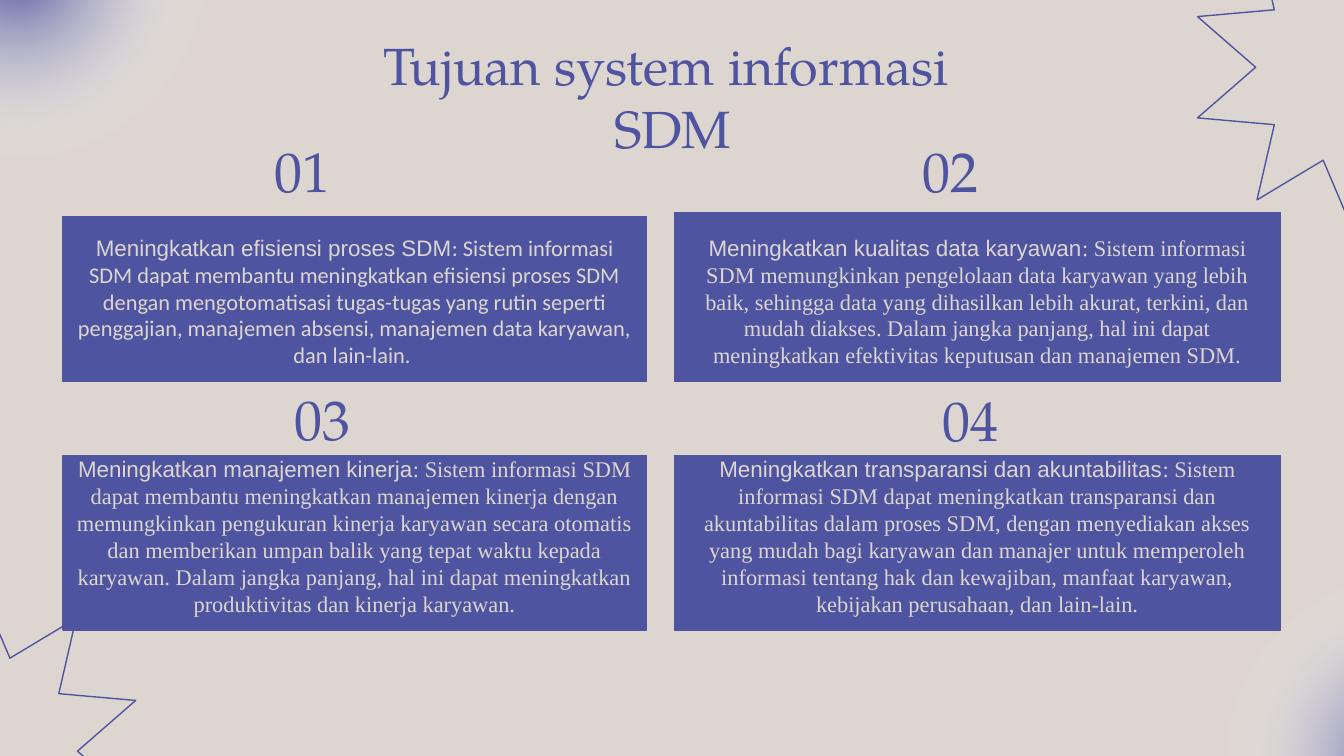
from lxml import etree
from pptx import Presentation
from pptx.dml.color import RGBColor
from pptx.enum.shapes import MSO_SHAPE as Shape
from pptx.enum.text import MSO_ANCHOR as Anchor, PP_ALIGN as Align
from pptx.oxml import parse_xml
from pptx.util import Pt

INDIGO = RGBColor(0x4E, 0x54, 0x9F)
SAND = RGBColor(0xDD, 0xD6, 0xD0)
SERIF = "TeX Gyre Pagella"
INSET = Pt(7.2)

GLOW = f"""<a:gradFill xmlns:a="http://schemas.openxmlformats.org/drawingml/2006/main" rotWithShape="1">
<a:gsLst>
<a:gs pos="0"><a:srgbClr val="{INDIGO}"/></a:gs>
<a:gs pos="68000"><a:srgbClr val="FFFFFF"><a:alpha val="0"/></a:srgbClr></a:gs>
<a:gs pos="100000"><a:srgbClr val="FFFFFF"><a:alpha val="0"/></a:srgbClr></a:gs>
</a:gsLst>
<a:path path="circle"><a:fillToRect l="50000" t="50000" r="50000" b="50000"/></a:path>
</a:gradFill>"""


def write_text(shape, runs, size, color, anchor):
    """Fill a shape with one centred paragraph of (text, font name) runs."""
    frame = shape.text_frame
    frame.word_wrap = True
    frame.vertical_anchor = anchor
    frame.margin_left = frame.margin_right = INSET
    frame.margin_top = frame.margin_bottom = INSET
    para = frame.paragraphs[0]
    para.alignment = Align.CENTER
    para.line_spacing = Pt(1.2 * size)
    for text, font_name in runs:
        for index, line in enumerate(text.split("\n")):
            if index:
                para.add_line_break()
            span = para.add_run()
            span.text = line
            span.font.name = font_name
            span.font.size = Pt(size)
            span.font.color.rgb = color


deck = Presentation()
deck.slide_width, deck.slide_height = Pt(720), Pt(405)
page = deck.slides.add_slide(deck.slide_layouts[6])
page.background.fill.solid()
page.background.fill.fore_color.rgb = SAND

# Corner stars and glows
for left, top in [(641.5, -51.8), (-94.3, 314.6)]:
    star = page.shapes.add_shape(Shape.STAR_10_POINT, Pt(left), Pt(top), Pt(167), Pt(175.7))
    star.adjustments[0] = 0.298
    star.shadow.inherit = False
    star.fill.background()
    star.line.color.rgb = INDIGO
    star.line.width = Pt(0.75)

for left, top in [(-98.6, -123.8), (650.9, 301)]:
    glow = page.shapes.add_shape(Shape.OVAL, Pt(left), Pt(top), Pt(214.6), Pt(214.6))
    glow.shadow.inherit = False
    glow.line.fill.background()
    glow.fill.background()
    no_fill = glow.fill._xPr.find("{*}noFill")
    no_fill.getparent().replace(no_fill, parse_xml(GLOW))

# Goals: number, number position, card place, heading, description, description font
goals = [
    ("01", (126.7, 77, 28), (33.8, 115.9, 312.5, 88.6),
     "Meningkatkan efisiensi proses SDM",
     ": Sistem informasi SDM dapat membantu meningkatkan efisiensi proses SDM dengan "
     "mengotomatisasi tugas-tugas yang rutin seperti penggajian, manajemen absensi, "
     "manajemen data karyawan, dan lain-lain. ", "Calibri"),
    ("02", (473.8, 77, 28), (361.4, 114, 324.5, 90.5),
     "Meningkatkan kualitas data karyawan",
     ": Sistem informasi SDM memungkinkan pengelolaan data karyawan yang lebih baik, "
     "sehingga data yang dihasilkan lebih akurat, terkini, dan mudah diakses. Dalam jangka "
     "panjang, hal ini dapat meningkatkan efektivitas keputusan dan manajemen SDM.",
     "Times New Roman"),
    ("03", (137.5, 210.2, 28), (33.8, 244.1, 312.5, 93.4),
     "Meningkatkan manajemen kinerja",
     ": Sistem informasi SDM dapat membantu meningkatkan manajemen kinerja dengan "
     "memungkinkan pengukuran kinerja karyawan secara otomatis dan memberikan umpan balik "
     "yang tepat waktu kepada karyawan. Dalam jangka panjang, hal ini dapat meningkatkan "
     "produktivitas dan kinerja karyawan.", "Times New Roman"),
    ("04", (484.6, 206.6, 36), (361.4, 244.1, 324.5, 93.4),
     "Meningkatkan transparansi dan akuntabilitas",
     ": Sistem informasi SDM dapat meningkatkan transparansi dan akuntabilitas dalam proses "
     "SDM, dengan menyediakan akses yang mudah bagi karyawan dan manajer untuk memperoleh "
     "informasi tentang hak dan kewajiban, manfaat karyawan, kebijakan perusahaan, dan "
     "lain-lain.", "Times New Roman"),
]
for number, (left, top, height), place, heading, description, font_name in goals:
    card = page.shapes.add_shape(Shape.RECTANGLE, *map(Pt, place))
    card.shadow.inherit = False
    card.fill.solid()
    card.fill.fore_color.rgb = INDIGO
    card.line.color.rgb = INDIGO
    card.line.width = Pt(0.75)
    write_text(card, [(heading, "Arial"), (description, font_name)], 12, SAND, Anchor.BOTTOM)

    number_box = page.shapes.add_textbox(Pt(left), Pt(top), Pt(70.6), Pt(height))
    write_text(number_box, [(number, SERIF)], 30, INDIGO, Anchor.MIDDLE)

title = page.shapes.add_textbox(Pt(56.9), Pt(10.8), Pt(607), Pt(45.4))
write_text(title, [("Tujuan system informasi \nSDM", SERIF)], 28, INDIGO, Anchor.TOP)

deck.save("out.pptx")
